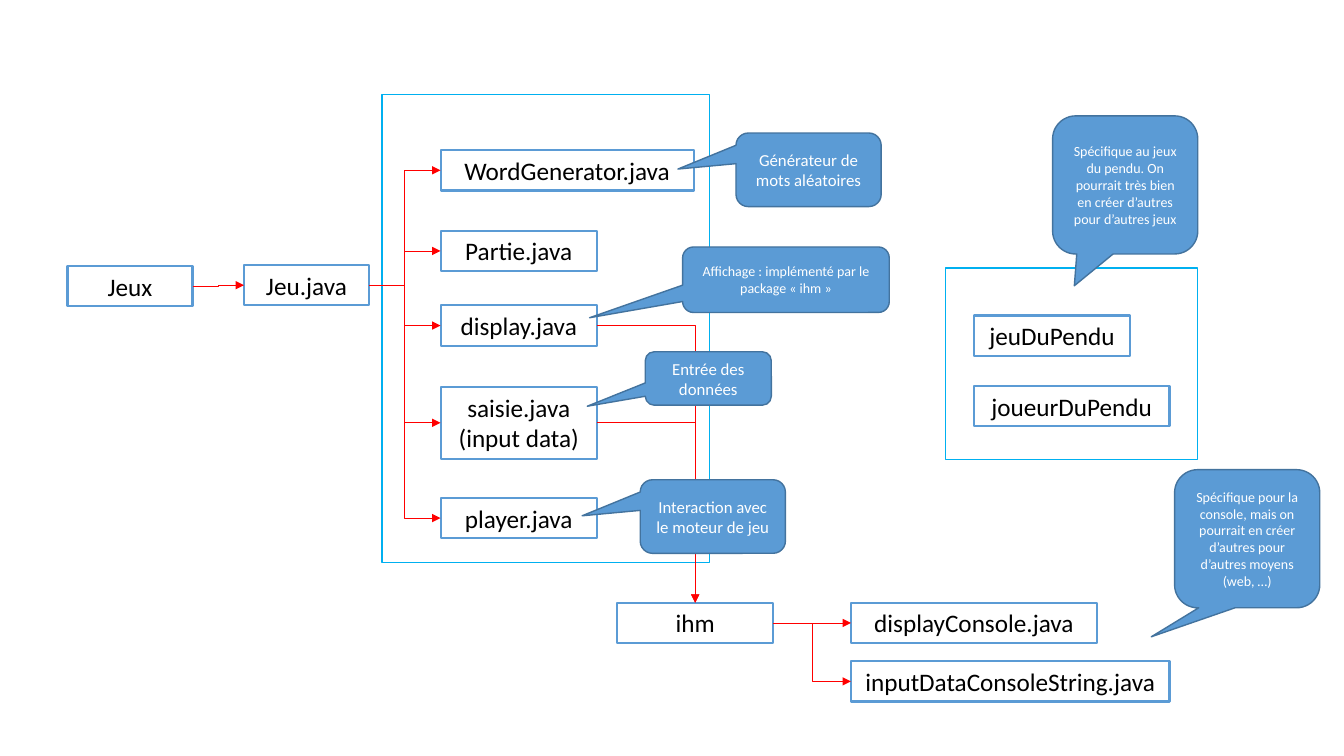
import pptx
import pptx.dml.color
import pptx.enum.shapes
import pptx.enum.text
import pptx.oxml.ns
import pptx.util
from lxml import etree

PX = 9144  # EMU per px, 100 px to the inch
COLORS = {
    "box": "5B9BD5", "callout_line": "43739E", "frame": "00B0F0",
    "arrow": "FF0000", "dark": "000000", "light": "FFFFFF",
}
FONT = "Calibri"
TOP, LEFT, RIGHT = 0, 1, 3  # connection sites of a rectangle


class Diagram:
    def __init__(self, slide):
        self.shapes = slide.shapes

    def color(self, name):
        return pptx.dml.color.RGBColor.from_string(COLORS[name])

    def outline(self, shape, color, width):
        shape.line.color.rgb = self.color(color)
        shape.line.width = pptx.util.Pt(width)

    def label(self, shape, text, size, color):
        frame = shape.text_frame
        frame.word_wrap = True
        frame.text = text
        paragraph = frame.paragraphs[0]
        paragraph.alignment = pptx.enum.text.PP_ALIGN.CENTER
        font = paragraph.runs[0].font
        font.name = FONT
        font.size = pptx.util.Pt(size)
        font.color.rgb = self.color(color)

    def frame(self, *place):
        kind = pptx.enum.shapes.MSO_SHAPE.RECTANGLE
        frame = self.shapes.add_shape(kind, *(n * PX for n in place))
        frame.shadow.inherit = False
        frame.fill.background()
        self.outline(frame, "frame", 1)

    def box(self, text, left, top, width, height=40):
        box = self.shapes.add_textbox(*(n * PX for n in (left, top, width, height)))
        self.outline(box, "box", 1.5)
        self.label(box, text, 18, "dark")
        box.text_frame.auto_size = pptx.enum.text.MSO_AUTO_SIZE.SHAPE_TO_FIT_TEXT
        return box

    def arrow(self, source, target, site=LEFT):
        elbow = pptx.enum.shapes.MSO_CONNECTOR.ELBOW
        arrow = self.shapes.add_connector(elbow, 0, 0, 0, 0)
        arrow.begin_connect(source, RIGHT)
        arrow.end_connect(target, site)
        self.outline(arrow, "arrow", 0.5)
        qn = pptx.oxml.ns.qn
        properties = arrow._element.spPr
        if site == TOP:  # one bend is enough to arrive from above
            properties.find(qn("a:prstGeom")).set("prst", "bentConnector2")
        etree.SubElement(properties.find(qn("a:ln")), qn("a:tailEnd"), type="triangle")
        etree.SubElement(properties, qn("a:effectLst"))

    def callout(self, text, place, tip, size):
        kind = pptx.enum.shapes.MSO_SHAPE.ROUNDED_RECTANGULAR_CALLOUT
        callout = self.shapes.add_shape(kind, *(n * PX for n in place))
        callout.shadow.inherit = False
        callout.adjustments[0], callout.adjustments[1] = tip
        callout.fill.solid()
        callout.fill.fore_color.rgb = self.color("box")
        self.outline(callout, "callout_line", 1)
        self.label(callout, text, size, "light")
        callout.text_frame.vertical_anchor = pptx.enum.text.MSO_ANCHOR.MIDDLE


def main():
    deck = pptx.Presentation()
    deck.slide_width = 1333 * PX
    deck.slide_height = 750 * PX
    diagram = Diagram(deck.slides.add_slide(deck.slide_layouts[6]))

    # Package frames
    diagram.frame(379, 94, 325, 464)
    diagram.frame(938, 266, 250, 190)

    # Game engine
    jeux = diagram.box("Jeux", 67, 264, 124)
    jeu = diagram.box("Jeu.java", 242, 263, 124)
    generator = diagram.box("WordGenerator.java", 437, 149, 251)
    partie = diagram.box("Partie.java", 437, 229, 155)
    display = diagram.box("display.java", 437, 303, 155)
    saisie = diagram.box("saisie.java (input data)", 437, 384, 155, 71)
    player = diagram.box("player.java", 437, 494, 155)

    # User interface
    ihm = diagram.box("ihm", 612, 598, 155)
    display_console = diagram.box("displayConsole.java", 844, 598, 244)
    input_console = diagram.box("inputDataConsoleString.java", 844, 656, 316)

    # Hangman game
    diagram.box("jeuDuPendu", 966, 313, 155)
    diagram.box("joueurDuPendu", 966, 383, 194)

    # Dependencies
    diagram.arrow(jeux, jeu)
    for part in (generator, partie, display, saisie, player):
        diagram.arrow(jeu, part)
    for part in (display, saisie):
        diagram.arrow(part, ihm, TOP)
    for console in (display_console, input_console):
        diagram.arrow(ihm, console)

    # Explanations: text, place, tip of the pointer, text size
    for explanation in (
        ("Affichage : implémenté par le package « ihm »",
         (677, 245, 205, 65), (-0.95, 0.58), 10),
        ("Entrée des données", (640, 349, 125, 53), (-0.96, 0.52), 12),
        ("Interaction avec le moteur de jeu",
         (635, 476, 144, 73), (-0.9, -0.01), 12),
        ("Générateur de mots aléatoires",
         (730, 132, 144, 73), (-0.9, -0.01), 12),
        ("Spécifique pour la console, mais on pourrait en créer d’autres "
         "pour d’autres moyens (web, …)",
         (1165, 466, 144, 137), (-0.66, 0.71), 10),
        ("Spécifique au jeux du pendu. On pourrait très bien en créer "
         "d’autres pour d’autres jeux",
         (1044, 115, 144, 137), (-0.35, 0.73), 10),
    ):
        diagram.callout(*explanation)

    deck.save("out.pptx")


if __name__ == "__main__":
    main()
